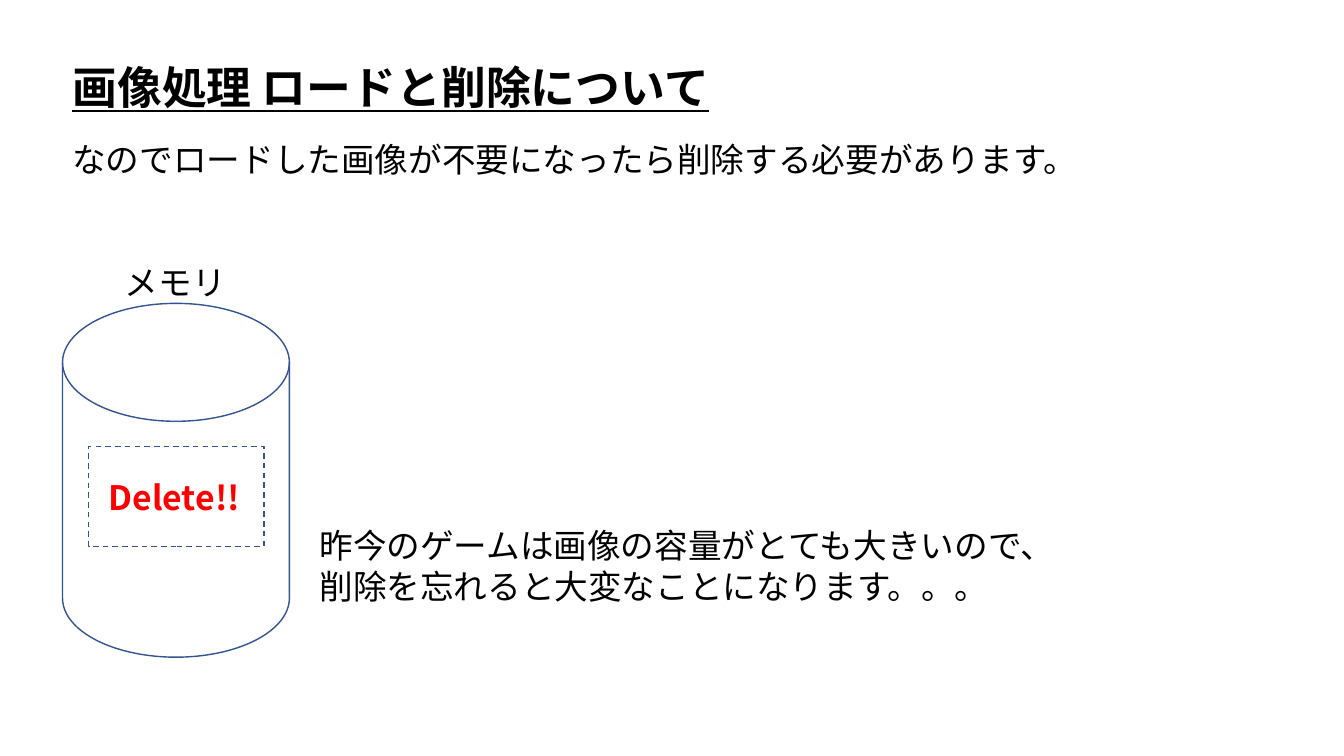
from dataclasses import dataclass

from lxml.etree import SubElement
from pptx import Presentation
from pptx.dml.color import RGBColor
from pptx.enum.dml import MSO_LINE_DASH_STYLE as Dash
from pptx.enum.shapes import MSO_SHAPE as Preset
from pptx.enum.text import MSO_AUTO_SIZE as AutoSize
from pptx.oxml.ns import qn
from pptx.shapes.autoshape import Shape
from pptx.util import Inches, Pt

FONT = "Noto Sans CJK JP"
COLORS = {"text": "000000", "alert": "FF0000", "outline": "325491"}


@dataclass
class Caption:
    left: float
    top: float
    width: float
    height: float
    lines: tuple[str, ...]
    size: int = 24
    color: str = "text"
    bold: bool = False
    underline: bool = False


@dataclass
class Outline:
    preset: Preset
    left: float
    top: float
    width: float
    height: float
    dashed: bool = False


def add_caption(shapes, caption: Caption) -> None:
    box = shapes.add_textbox(Inches(caption.left), Inches(caption.top),
                             Inches(caption.width), Inches(caption.height))
    frame = box.text_frame
    frame.word_wrap = False
    frame.auto_size = AutoSize.SHAPE_TO_FIT_TEXT
    for index, line in enumerate(caption.lines):
        paragraph = frame.add_paragraph() if index else frame.paragraphs[0]
        run = paragraph.add_run()
        run.text = line
        font = run.font
        font.size = Pt(caption.size)
        font.bold = caption.bold
        font.underline = caption.underline
        font.color.rgb = RGBColor.from_string(COLORS[caption.color])
        font.name = FONT
        # Japanese glyphs take the East Asian typeface
        SubElement(run._r.get_or_add_rPr(), qn("a:ea"), typeface=FONT)


def add_outline(shapes, outline: Outline) -> Shape:
    shape = shapes.add_shape(outline.preset, Inches(outline.left), Inches(outline.top),
                             Inches(outline.width), Inches(outline.height))
    shape.shadow.inherit = False
    shape.fill.background()
    shape.line.color.rgb = RGBColor.from_string(COLORS["outline"])
    shape.line.width = Pt(1)
    if outline.dashed:
        shape.line.dash_style = Dash.DASH
    return shape


TITLE = Caption(0.62, 0.54, 6.61, 0.64, ("画像処理 ロードと削除について",),
                size=32, bold=True, underline=True)
LEAD = Caption(0.62, 1.33, 10.3, 0.5,
               ("なのでロードした画像が不要になったら削除する必要があります。",))
MEMORY_DISK = Outline(Preset.FLOWCHART_MAGNETIC_DISK, 0.62, 3.01, 2.25, 3.51)
MEMORY_LABEL = Caption(1.14, 2.55, 1.21, 0.5, ("メモリ",))
DELETED_IMAGE = Outline(Preset.RECTANGLE, 0.88, 4.43, 1.74, 0.99, dashed=True)
DELETE_LABEL = Caption(0.98, 4.68, 1.52, 0.5, ("Delete!!",), color="alert", bold=True)
WARNING = Caption(3.07, 5.16, 7.61, 0.91,
                  ("昨今のゲームは画像の容量がとても大きいので、",
                   "削除を忘れると大変なことになります。。。"))


def main() -> None:
    deck = Presentation()
    deck.slide_width, deck.slide_height = Inches(13.33), Inches(7.5)
    slide = deck.slides.add_slide(deck.slide_layouts[6])

    # Heading
    add_caption(slide.shapes, TITLE)
    add_caption(slide.shapes, LEAD)

    # Memory cylinder with its label
    memory = slide.shapes.add_group_shape()
    add_outline(memory.shapes, MEMORY_DISK)
    add_caption(memory.shapes, MEMORY_LABEL)

    # Deleted image and the warning beside it
    add_outline(slide.shapes, DELETED_IMAGE)
    add_caption(slide.shapes, DELETE_LABEL)
    add_caption(slide.shapes, WARNING)

    deck.save("out.pptx")


if __name__ == "__main__":
    main()
